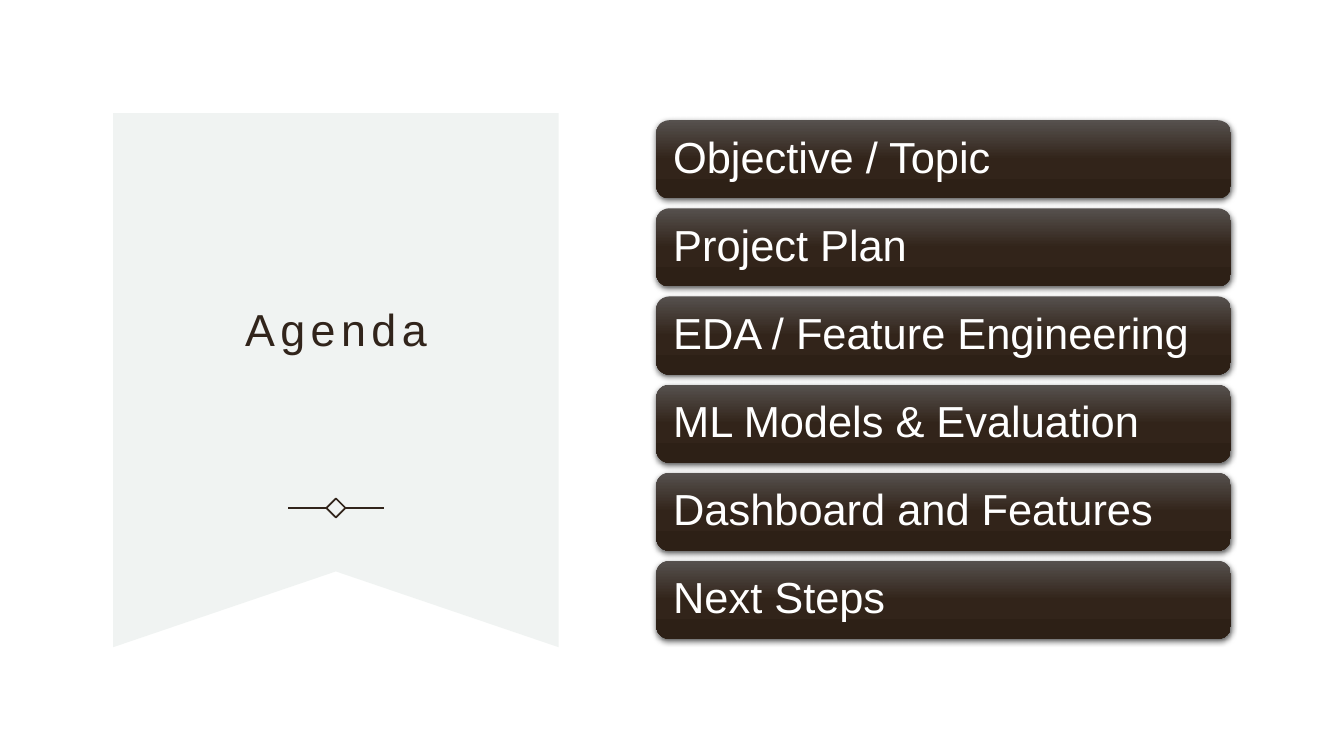
from copy import deepcopy

from lxml import etree
from pptx import Presentation
from pptx.dml.color import RGBColor
from pptx.enum.shapes import MSO_CONNECTOR, MSO_SHAPE
from pptx.enum.text import MSO_ANCHOR, PP_ALIGN
from pptx.oxml.ns import qn
from pptx.util import Cm, Pt

TITLE = "Agenda"
ITEMS = [
    "Objective / Topic",
    "Project Plan",
    "EDA / Feature Engineering",
    "ML Models & Evaluation",
    "Dashboard and Features",
    "Next Steps",
]

FONT = "Arial"
BROWN = RGBColor(0x31, 0x24, 0x1B)
PALE = RGBColor(0xF0, 0xF3, 0xF2)
WHITE = RGBColor(0xFF, 0xFF, 0xFF)
BAR_STOPS = [
    (0, RGBColor(0x56, 0x51, 0x4E)),
    (0.5, RGBColor(0x32, 0x24, 0x1A)),
    (1, RGBColor(0x2D, 0x20, 0x16)),
]
RECT, ROUNDED = MSO_SHAPE.RECTANGLE, MSO_SHAPE.ROUNDED_RECTANGLE
STRAIGHT = MSO_CONNECTOR.STRAIGHT
MIDDLE = MSO_ANCHOR.MIDDLE
LEFT, CENTER = PP_ALIGN.LEFT, PP_ALIGN.CENTER

RIBBON_L, RIBBON_T, RIBBON_R = 2.85, 2.85, 14.08
RIBBON_TIP, RIBBON_NOTCH = 16.31, 14.4
RIBBON_MID = (RIBBON_L + RIBBON_R) / 2
ORNAMENT_Y, ORNAMENT_SIDE = 12.8, 0.34
ORNAMENT_IN, ORNAMENT_OUT = 0.24, 1.21
BAR_L, BAR_T, BAR_W, BAR_H, BAR_STEP = 16.54, 3.03, 14.48, 1.97, 2.22


def write(shape, text, size, color, align, spacing, after):
    tf = shape.text_frame
    tf.text = text
    tf.word_wrap = True
    tf.vertical_anchor = MIDDLE
    p = tf.paragraphs[0]
    p.alignment, p.line_spacing, p.space_after = align, spacing, Pt(after)
    r = p.runs[0]
    r.font.name, r.font.size, r.font.color.rgb = FONT, Pt(size), color
    return r


def add_ribbon(slide):
    fb = slide.shapes.build_freeform(Cm(RIBBON_L), Cm(RIBBON_T))
    corners = [
        (RIBBON_R, RIBBON_T),
        (RIBBON_R, RIBBON_TIP),
        (RIBBON_MID, RIBBON_NOTCH),
        (RIBBON_L, RIBBON_TIP),
    ]
    fb.add_line_segments([(Cm(x), Cm(y)) for x, y in corners])
    s = fb.convert_to_shape()
    s.shadow.inherit = False
    s.fill.solid()
    s.fill.fore_color.rgb = PALE
    s.line.fill.background()


def add_title(slide):
    s = slide.shapes.add_textbox(Cm(3.96), Cm(4.6), Cm(9.02), Cm(7.24))
    r = write(s, TITLE, 32, BROWN, CENTER, 1.1, 6)
    r.font._element.set("spc", "390")


def add_ornament(slide):
    half = ORNAMENT_SIDE / 2
    s = slide.shapes.add_shape(
        RECT, Cm(RIBBON_MID - half), Cm(ORNAMENT_Y - half),
        Cm(ORNAMENT_SIDE), Cm(ORNAMENT_SIDE))
    s.rotation = 45
    s.shadow.inherit = False
    s.fill.background()
    lines = [s.line]
    for side in (1, -1):
        c = slide.shapes.add_connector(
            STRAIGHT,
            Cm(RIBBON_MID + side * ORNAMENT_IN), Cm(ORNAMENT_Y),
            Cm(RIBBON_MID + side * ORNAMENT_OUT), Cm(ORNAMENT_Y))
        etree.SubElement(c._element.spPr, qn("a:effectLst"))
        lines.append(c.line)
    for line in lines:
        line.color.rgb = BROWN
        line.width = Pt(1.25)


def add_bar(slide, text, top):
    s = slide.shapes.add_shape(ROUNDED, Cm(BAR_L), Cm(top), Cm(BAR_W), Cm(BAR_H))
    s.line.fill.background()
    s.fill.gradient()
    s.fill.gradient_angle = 270
    stops = s._element.spPr.find(qn("a:gradFill")).find(qn("a:gsLst"))
    stops.append(deepcopy(stops[0]))
    for stop, (position, color) in zip(s.fill.gradient_stops, BAR_STOPS):
        stop.position = position
        stop.color.rgb = color

    s.shadow.inherit = False
    effects = s._element.spPr.find(qn("a:effectLst"))
    shadow = etree.SubElement(
        effects, qn("a:outerShdw"), blurRad=str(Pt(4.5)), dist=str(Pt(1.5)),
        dir="5400000", algn="ctr", rotWithShape="0")
    black = etree.SubElement(shadow, qn("a:srgbClr"), val="000000")
    etree.SubElement(black, qn("a:alpha"), val="63000")

    write(s, text, 31, WHITE, LEFT, 0.9, 0)
    tf = s.text_frame
    tf.margin_left = tf.margin_right = Cm(0.33)


def main():
    prs = Presentation()
    prs.slide_width, prs.slide_height = Cm(33.87), Cm(19.05)
    slide = prs.slides.add_slide(prs.slide_layouts[6])
    add_ribbon(slide)
    add_title(slide)
    add_ornament(slide)
    for i, item in enumerate(ITEMS):
        add_bar(slide, item, BAR_T + i * BAR_STEP)
    prs.save("out.pptx")


if __name__ == "__main__":
    main()
